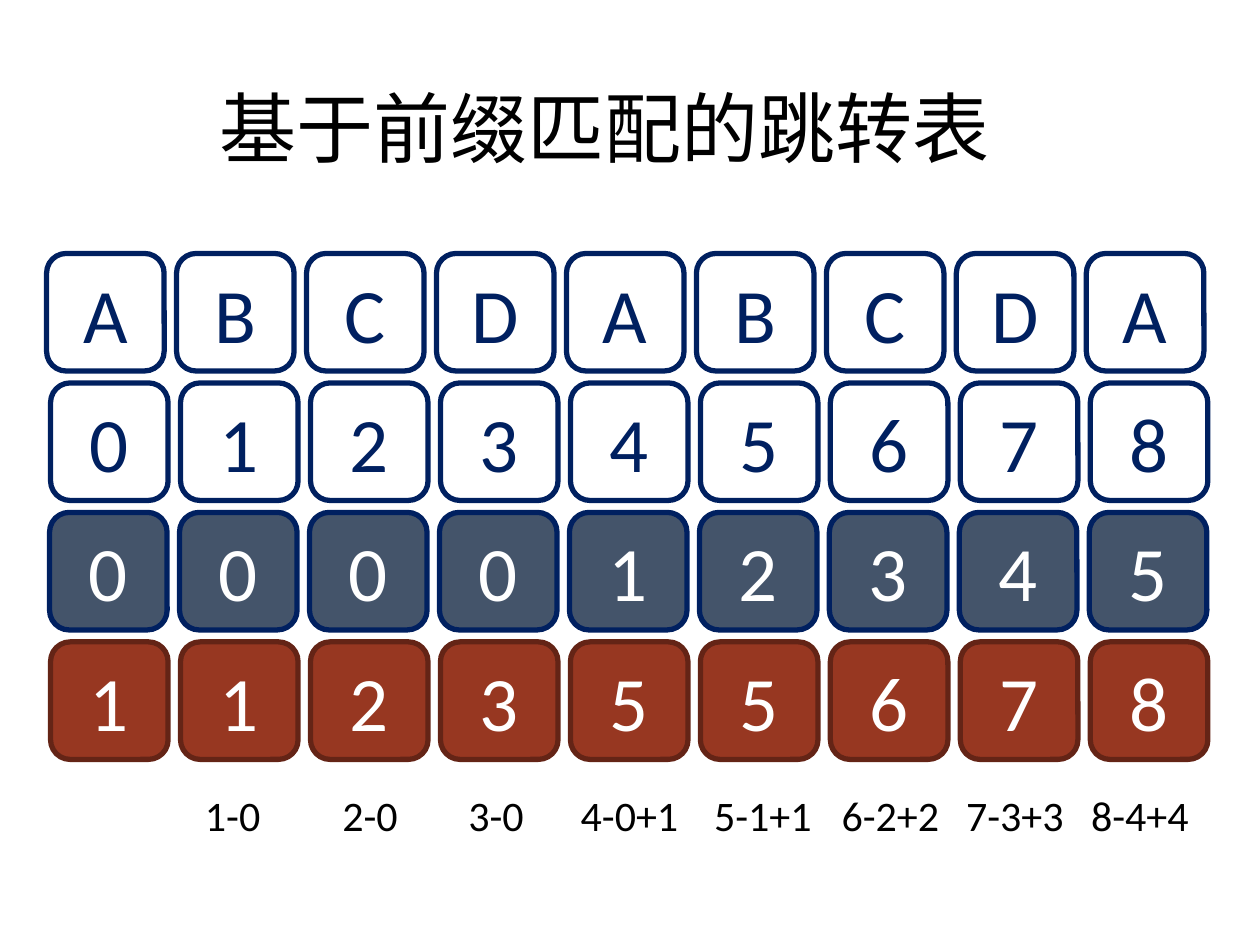
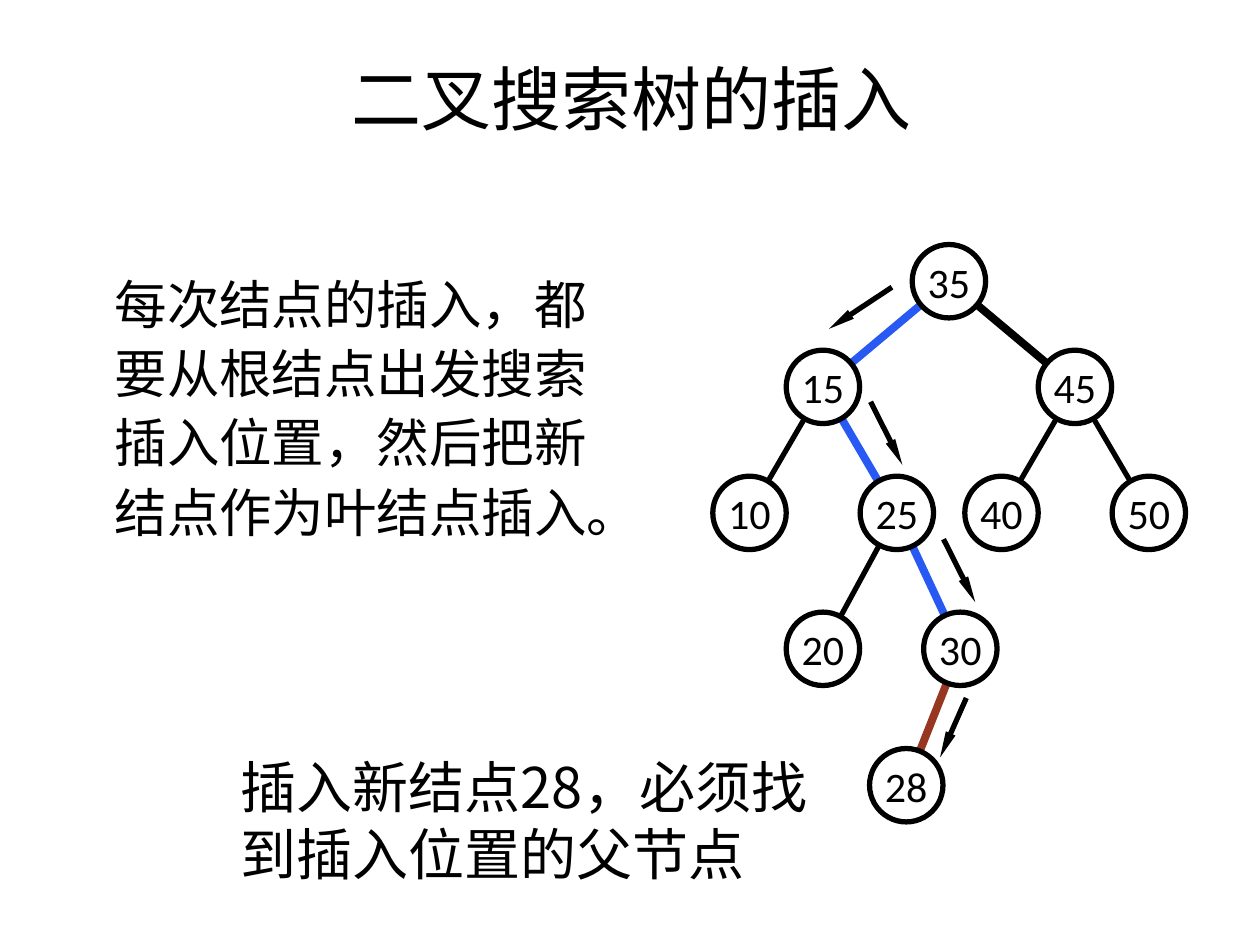
from math import hypot

from lxml import etree
from pptx import Presentation
from pptx.dml.color import RGBColor
from pptx.enum.shapes import MSO_CONNECTOR, MSO_SHAPE
from pptx.enum.text import MSO_ANCHOR, PP_ALIGN
from pptx.oxml.ns import qn
from pptx.util import Cm, Pt

STRAIGHT = MSO_CONNECTOR.STRAIGHT
ROUNDED, OVAL = MSO_SHAPE.ROUNDED_RECTANGLE, MSO_SHAPE.OVAL
MIDDLE = MSO_ANCHOR.MIDDLE
LEFT, CENTER = PP_ALIGN.LEFT, PP_ALIGN.CENTER

WHITE = RGBColor(0xFF, 0xFF, 0xFF)
BLACK = RGBColor(0x00, 0x00, 0x00)
NAVY = RGBColor(0x00, 0x20, 0x60)
SLATE = RGBColor(0x44, 0x54, 0x6A)
RUST = RGBColor(0x97, 0x37, 0x21)
DARK_RUST = RGBColor(0x64, 0x24, 0x16)
BLUE = RGBColor(0x29, 0x59, 0xF3)
LATIN, CJK = "Calibri", "Noto Sans CJK JP"

# Jump table: values, left edge (cm), fill, line, text colour
TABLE_TITLE = "基于前缀匹配的跳转表"
TABLE_ROWS = [
    ("ABCDABCDA", 0.94, WHITE, NAVY, NAVY),
    ("012345678", 1.02, WHITE, NAVY, NAVY),
    ("000012345", 1.0, SLATE, NAVY, WHITE),
    ("112355678", 1.02, RUST, DARK_RUST, WHITE),
]
TABLE_TOP, CELL, COLUMN_STEP, ROW_STEP = 5.11, 2.37, 2.62, 2.61
FORMULAS = [
    ("1-0", 3.38), ("2-0", 6.15), ("3-0", 8.69), ("4-0+1", 11.38),
    ("5-1+1", 14.07), ("6-2+2", 16.64), ("7-3+3", 19.15), ("8-4+4", 21.67),
]

# Search tree: node centres (cm), edges (parent, child, colour, points)
TREE_TITLE = "二叉搜索树的插入"
RULE = "每次结点的插入，都要从根结点出发搜索插入位置，然后把新结点作为叶结点插入。"
EXAMPLE = "插入新结点28，必须找到插入位置的父节点"
NODES = {
    35: (19.13, 5.67),
    15: (16.59, 7.8), 45: (21.67, 7.8),
    10: (15.11, 10.34), 25: (18.08, 10.34), 40: (20.19, 10.34), 50: (23.16, 10.34),
    20: (16.59, 13.08), 30: (19.36, 13.08),
    28: (18.27, 15.83),
}
EDGES = [
    (35, 15, BLUE, 4.5), (35, 45, BLACK, 4.5), (15, 10, BLACK, 3),
    (15, 25, BLUE, 4.5), (45, 40, BLACK, 3), (45, 50, BLACK, 3),
    (25, 20, BLACK, 3), (25, 30, BLUE, 4.5), (30, 28, RUST, 4.5),
]
SEARCH_ARROWS = [
    ((17.98, 5.79), (16.71, 6.63)), ((17.55, 8.1), (18.19, 9.37)),
    ((19.02, 10.87), (19.66, 12.14)), ((19.48, 14.07), (18.95, 15.27)),
]
NODE, RIM = 1.48, 0.7


def write(tf, text, size, color=BLACK, font=LATIN, align=CENTER, spacing=None):
    tf.text = text
    p = tf.paragraphs[0]
    p.alignment, p.line_spacing = align, spacing
    r = p.runs[0]
    r.font.size, r.font.name = Pt(size), font
    r.font.color.rgb = color
    if font == CJK:
        etree.SubElement(r._r.get_or_add_rPr(), qn("a:ea"), typeface=font)


def add_text(s, box, text, size, **style):
    tf = s.shapes.add_textbox(*map(Cm, box)).text_frame
    tf.word_wrap = True
    write(tf, text, size, **style)
    return tf


def add_title(s, box, text, size):
    add_text(s, box, text, size, font=CJK, spacing=0.9)


def add_tile(s, kind, x, y, side, text, size, fill, line, color):
    """Square shape holding one centred value."""
    sp = s.shapes.add_shape(kind, Cm(x), Cm(y), Cm(side), Cm(side))
    sp.shadow.inherit = False
    sp.fill.solid()
    sp.fill.fore_color.rgb = fill
    sp.line.color.rgb, sp.line.width = line, Pt(3)
    tf = sp.text_frame
    tf.vertical_anchor, tf.word_wrap = MIDDLE, kind == ROUNDED
    write(tf, text, size, color)


def add_line(s, start, end, color=BLACK, width=3, arrow=False):
    c = s.shapes.add_connector(STRAIGHT, *map(Cm, (*start, *end)))
    c.line.color.rgb, c.line.width = color, Pt(width)
    if arrow:
        etree.SubElement(c.line._get_or_add_ln(), qn("a:tailEnd"),
                         type="triangle", w="sm", len="lg")
    etree.SubElement(c._element.spPr, qn("a:effectLst"))


def rim_points(a, b):
    """Ends of the line between two node centres, cut back to the rims."""
    (ax, ay), (bx, by) = a, b
    k = RIM / hypot(bx - ax, by - ay)
    dx, dy = k * (bx - ax), k * (by - ay)
    return (ax + dx, ay + dy), (bx - dx, by - dy)


def build_jump_table(s):
    add_title(s, (1.42, 1.7, 21.56, 2.69), TABLE_TITLE, 44)
    for row, (values, left, *colors) in enumerate(TABLE_ROWS):
        for column, value in enumerate(values):
            add_tile(s, ROUNDED, left + column * COLUMN_STEP,
                     TABLE_TOP + row * ROW_STEP, CELL, value, 44, *colors)
    for formula, left in FORMULAS:
        add_text(s, (left, 15.8, 2.62, 1.27), formula, 24)


def build_search_tree(s):
    add_title(s, (1.3, 1.19, 22.86, 2.29), TREE_TITLE, 40)
    tf = add_text(s, (1.42, 5.23, 11.58, 7.65), RULE, 30,
                  font=CJK, align=LEFT, spacing=1.1)
    tf.margin_left = Cm(0.89)
    add_text(s, (4.6, 15.04, 11.96, 3), EXAMPLE, 32, font=CJK, align=LEFT)
    for parent, child, color, width in EDGES:
        add_line(s, *rim_points(NODES[parent], NODES[child]), color, width)
    for key, (x, y) in NODES.items():
        add_tile(s, OVAL, x - NODE / 2, y - NODE / 2, NODE, str(key), 24,
                 WHITE, BLACK, BLACK)
    for start, end in SEARCH_ARROWS:
        add_line(s, start, end, arrow=True)


def main():
    prs = Presentation()
    prs.slide_width, prs.slide_height = Cm(25.4), Cm(19.05)
    for build in (build_jump_table, build_search_tree):
        build(prs.slides.add_slide(prs.slide_layouts[6]))
    prs.save("out.pptx")


if __name__ == "__main__":
    main()
